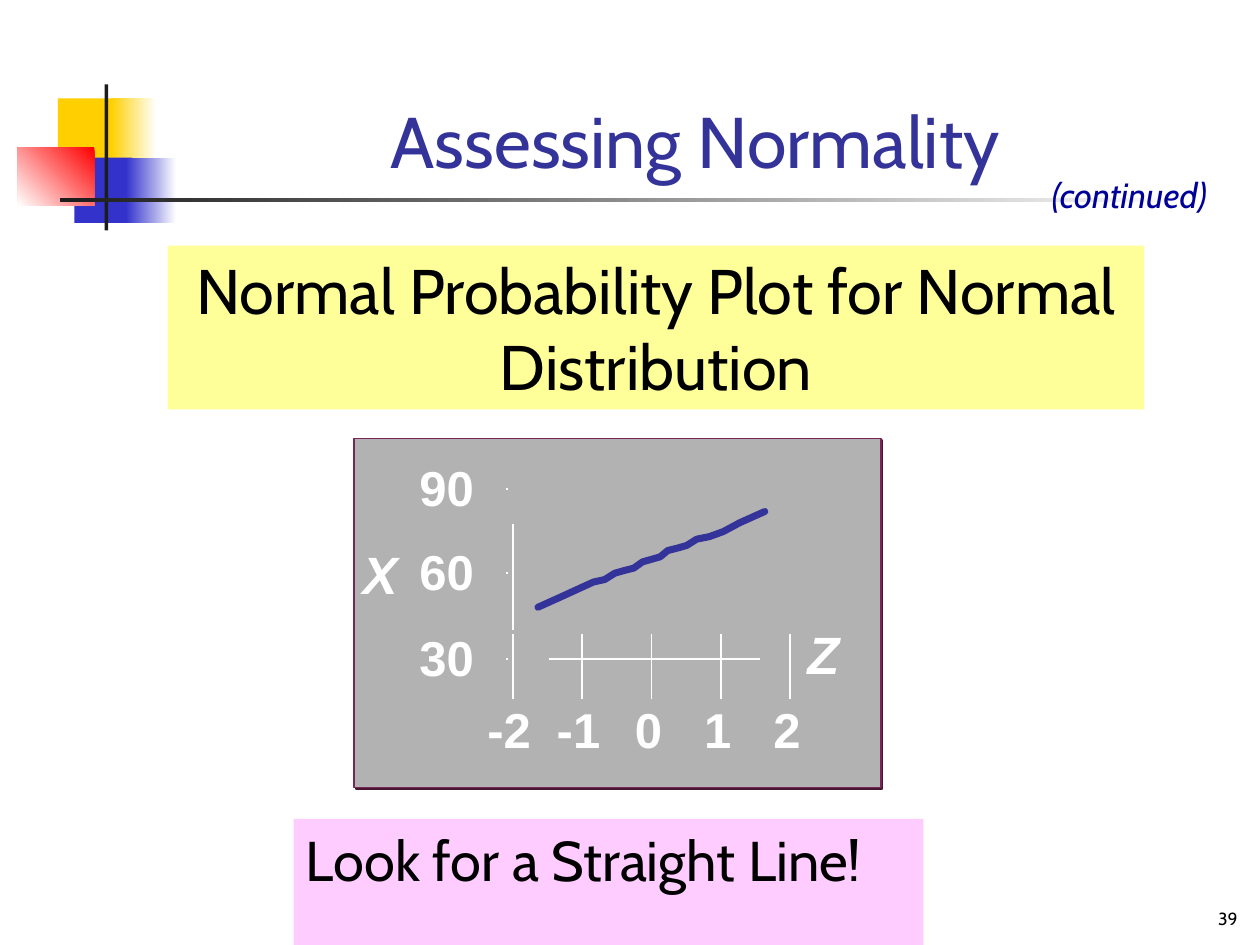
from lxml import etree
from pptx import Presentation
from pptx.dml.color import RGBColor
from pptx.enum.shapes import MSO_CONNECTOR, MSO_SHAPE
from pptx.enum.text import MSO_ANCHOR, MSO_AUTO_SIZE, PP_ALIGN
from pptx.oxml.ns import qn
from pptx.util import Pt

PX = 9144  # 100 px to the inch
RECT = MSO_SHAPE.RECTANGLE
LINE = MSO_CONNECTOR.STRAIGHT
LEFT, MID, RIGHT = PP_ALIGN.LEFT, PP_ALIGN.CENTER, PP_ALIGN.RIGHT
TOP, LOW = MSO_ANCHOR.TOP, MSO_ANCHOR.BOTTOM
GROW = MSO_AUTO_SIZE.SHAPE_TO_FIT_TEXT

WHITE = RGBColor(0xFF, 0xFF, 0xFF)
BLACK = RGBColor(0x00, 0x00, 0x00)
GOLD = RGBColor(0xFF, 0xCF, 0x01)
BLUE = RGBColor(0x33, 0x33, 0xCC)
RED = RGBColor(0xFF, 0x00, 0x00)
DARK = RGBColor(0x1C, 0x1C, 0x1C)
NAVY = RGBColor(0x33, 0x33, 0x99)
DEEP = RGBColor(0x00, 0x00, 0x99)
GREY = RGBColor(0xB2, 0xB2, 0xB2)
PLUM = RGBColor(0x77, 0x26, 0x55)
YELLOW = RGBColor(0xFF, 0xFF, 0x99)
PINK = RGBColor(0xFF, 0xCC, 0xFF)

prs = Presentation()
prs.slide_width, prs.slide_height = 1000 * PX, 750 * PX
slide = prs.slides.add_slide(prs.slide_layouts[6])
shapes = slide.shapes


def block(box, color, end=None, angle=180):
    rect = shapes.add_shape(RECT, *(n * PX for n in box))
    rect.shadow.inherit = False
    rect.line.fill.background()
    if end is None:
        rect.fill.solid()
        rect.fill.fore_color.rgb = color
    else:
        rect.fill.gradient()
        rect.fill.gradient_angle = angle
        for stop, tint in zip(rect.fill.gradient_stops, (color, end)):
            stop.color.rgb = tint
    return rect


def write(box, text, size, color, face="Cabin", align=LEFT, anchor=TOP,
          wrap=True, bold=False, italic=False, fill=None):
    area = shapes.add_textbox(*(n * PX for n in box))
    if fill is not None:
        area.fill.solid()
        area.fill.fore_color.rgb = fill
    frame = area.text_frame
    frame.word_wrap = wrap
    if not wrap:
        frame.auto_size = GROW
    frame.vertical_anchor = anchor
    para = frame.paragraphs[0]
    para.text = text
    para.alignment = align
    font = para.runs[0].font
    font.name, font.size, font.color.rgb = face, Pt(size), color
    font.bold, font.italic = bold, italic


# Corner ornament and title rule
block((46, 78, 48, 52), GOLD)
block((88, 78, 36, 52), WHITE, GOLD)
block((59, 125, 46, 52), BLUE)
block((100, 125, 40, 52), WHITE, BLUE)
block((14, 117, 61, 46), RED, WHITE, 225)
block((83, 67, 3, 116), DARK)
block((48, 157, 900, 3), WHITE, DARK)

# Title
write((126, 25, 852, 125), "Assessing Normality", 41, NAVY,
      align=MID, anchor=LOW)

# Plot panel with its hard shadow
panel = block((281, 348, 418, 277), GREY)
panel.line.color.rgb = PLUM
panel.line.width = Pt(1)
effects = panel.element.spPr.find(qn("a:effectLst"))
shade = etree.SubElement(effects, qn("a:outerShdw"), blurRad="0",
                         dist=str(Pt(1.4)), dir="2700000", algn="ctr",
                         rotWithShape="0")
etree.SubElement(shade, qn("a:srgbClr"), val="471632")

# Banners
write((133, 195, 775, 130), "Normal Probability Plot for Normal Distribution",
      36, BLACK, align=MID, fill=YELLOW)
write((233, 650, 500, 116), "Look for a Straight Line!", 32, BLACK, fill=PINK)

# Axes and ticks
ticks_x = [407 + 55 * i for i in range(5)]
ticks_y = [388 + 135 * i // 2 for i in range(3)]
rules = [(407, 416, 407, 500), (436, 523, 603, 523)]
rules += [(402, y, 403, y) for y in ticks_y]
rules += [(x, 555, x, 503) for x in ticks_x]
for ends in rules:
    rule = shapes.add_connector(LINE, *(n * PX for n in ends))
    rule.line.color.rgb = WHITE
    rule.line.width = Pt(1)
    etree.SubElement(rule.element.spPr, qn("a:effectLst"))

# Data curve
points = [(427, 482), (447, 473), (460, 467), (471, 462), (480, 460),
          (488, 455), (495, 453), (503, 451), (510, 446), (517, 444),
          (524, 442), (530, 437), (538, 435), (545, 433), (553, 428),
          (563, 426), (574, 422), (587, 415), (607, 406)]
path = shapes.build_freeform(*points[0], scale=PX)
path.add_line_segments(points[1:], close=False)
curve = path.convert_to_shape()
curve.shadow.inherit = False
curve.fill.background()
curve.line.color.rgb = NAVY
curve.line.width = Pt(4)
stroke = curve.element.spPr.find(qn("a:ln"))
stroke.set("cap", "rnd")
etree.SubElement(stroke, qn("a:round"))

# Axis labels
labels = [((323, y - 30, 63, 56), text, 28, False)
          for y, text in zip(ticks_y, ("90", "60", "30"))]
for x, text in zip(ticks_x, ("-2", "-1", "0", "1", "2")):
    wide = 55 if len(text) == 2 else 41
    labels.append(((x - 3 - wide // 2, 550, wide, 56), text, 28, False))
labels += [((631, 489, 45, 60), "Z", 30, True),
           ((278, 425, 48, 60), "X", 30, True)]
for box, text, size, slant in labels:
    write(box, text, size, WHITE, "Arial", wrap=False, bold=True, italic=slant)

# Continuation mark and page number
write((825, 133, 175, 44), "(continued)", 20, DEEP, italic=True)
write((784, 691, 208, 51), "39", 10, BLACK, align=RIGHT, anchor=LOW)

prs.save("out.pptx")
